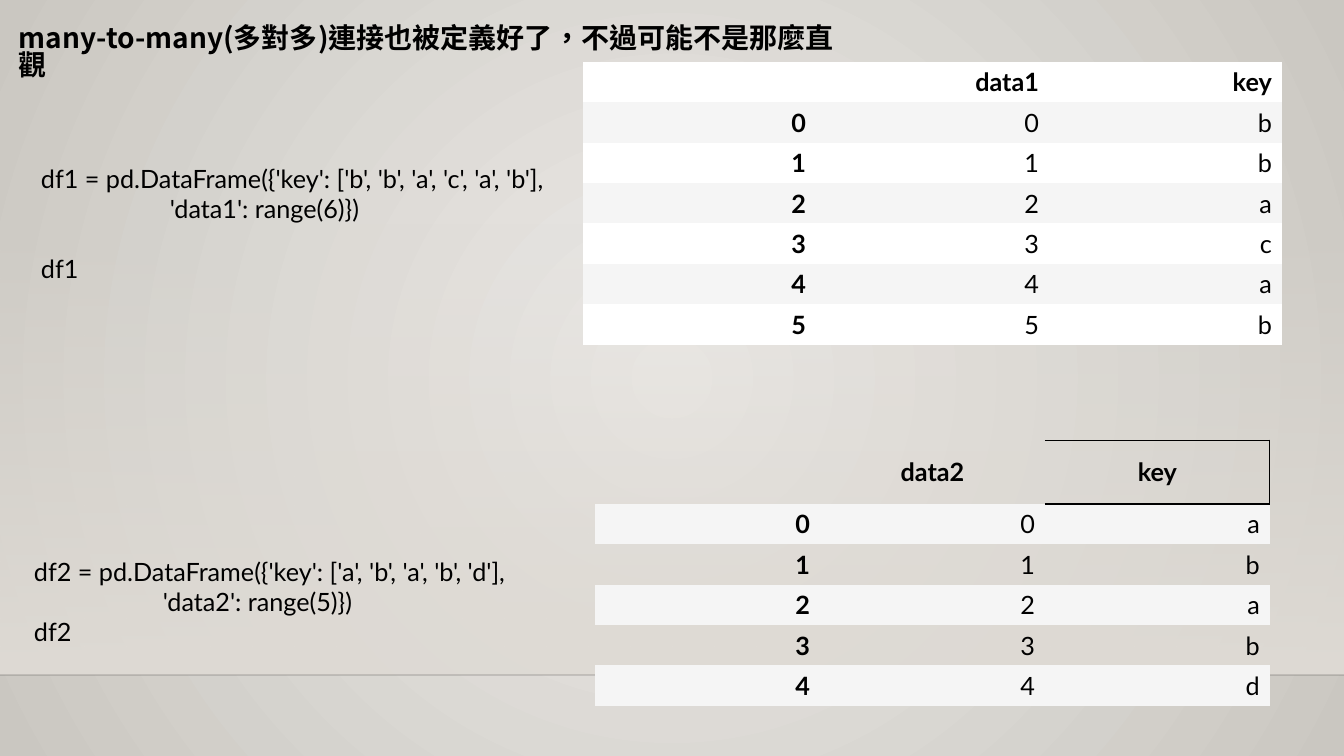
from lxml import etree
from pptx import Presentation, util as u
from pptx.dml.color import RGBColor
from pptx.enum import lang, shapes, text
from pptx.oxml import ns, parse_xml

EMU_PER_PX = 914400 / 100.8
SLIDE_W, SLIDE_H = 1344, 756
HORIZON = 675

BLACK = RGBColor(0, 0, 0)
WHITE = RGBColor(0xFF, 0xFF, 0xFF)
BAND = RGBColor(0xF5, 0xF5, 0xF5)
GLOW = RGBColor(0xEC, 0xEA, 0xE7)
EDGE = RGBColor(0xCA, 0xC7, 0xC1)
WALL = RGBColor(0xDF, 0xDB, 0xD5)
HORIZON_INK = RGBColor(0, 0, 1)

BODY_FONT, TITLE_FONT = "Lato", "Noto Sans CJK SC"
PLAIN_TABLE = "{2D5ABB26-0587-4C30-8999-92F81FD0307C}"
RIGHT, CENTER = text.PP_ALIGN.RIGHT, text.PP_ALIGN.CENTER

TITLE = "many-to-many(多對多)連接也被定義好了，不過可能不是那麼直觀"
DF1_KEYS = "bbacab"
DF2_KEYS = "ababd"


def px(count):
    return u.Emu(round(count * EMU_PER_PX))


def box(*sides):
    return [px(side) for side in sides]


def set_gradient(owner, fill, stops, direction):
    """Fill with (position, colour, alpha) stops, in percent, along a direction element."""
    fill.gradient()
    gradient = owner.element.find(".//" + ns.qn("a:gradFill"))
    marks = "".join(
        f'<a:gs pos="{pos * 1000}"><a:srgbClr val="{color}">'
        f'<a:alpha val="{alpha * 1000}"/></a:srgbClr></a:gs>'
        for pos, color, alpha in stops)
    parts = parse_xml(f'<a:gradFill {ns.nsdecls("a")}><a:gsLst>{marks}</a:gsLst>'
                      f'{direction}</a:gradFill>')
    gradient[:] = list(parts)


def add_backdrop(slide):
    set_gradient(slide, slide.background.fill, [(0, GLOW, 100), (100, EDGE, 100)],
                 '<a:path path="circle"><a:fillToRect l="50000" t="50000" '
                 'r="50000" b="50000"/></a:path>')
    wall = slide.shapes.add_shape(shapes.MSO_SHAPE.RECTANGLE,
                                  *box(0, 223, SLIDE_W, HORIZON - 223))
    wall.shadow.inherit = False
    wall.line.fill.background()
    set_gradient(wall, wall.fill, [(0, WALL, 0), (100, WALL, 100)],
                 '<a:lin ang="5400000" scaled="0"/>')

    horizon = slide.shapes.add_connector(shapes.MSO_CONNECTOR.STRAIGHT,
                                         *box(0, HORIZON, SLIDE_W, HORIZON))
    horizon.line.width = u.Pt(1)
    horizon.line.color.rgb = HORIZON_INK
    ink = horizon.element.find(".//" + ns.qn("a:srgbClr"))
    etree.SubElement(ink, ns.qn("a:alpha")).set("val", "20000")
    etree.SubElement(horizon.element.spPr, ns.qn("a:effectLst"))


def add_run(paragraph, words, size=18, font=BODY_FONT, bold=False):
    run = paragraph.add_run()
    run.text = words
    run.font.size = u.Pt(size)
    run.font.name = font
    run.font.bold = bold
    run.font.color.rgb = BLACK
    return run


def add_text_frame(slide, *place):
    frame = slide.shapes.add_textbox(*box(*place)).text_frame
    frame.word_wrap = True
    return frame


def add_title(slide):
    frame = add_text_frame(slide, 9, 18, 839, 44)
    frame.margin_top = px(8)
    paragraph = frame.paragraphs[0]
    paragraph.line_spacing = 0.82
    run = add_run(paragraph, TITLE, 20, TITLE_FONT, True)
    run.font.language_id = lang.MSO_LANGUAGE_ID.TRADITIONAL_CHINESE
    east_asian = etree.Element(ns.qn("a:ea"), typeface=TITLE_FONT)
    run.font._element.find(ns.qn("a:latin")).addnext(east_asian)


def add_code(slide, place, opening, continuation, result, gap=0):
    frame = add_text_frame(slide, *place)
    first = frame.paragraphs[0]
    second, last = frame.add_paragraph(), frame.add_paragraph()
    add_run(first, opening)
    add_run(second, continuation)
    second._p.get_or_add_pPr().set("marL", str(px(129)))
    add_run(last, result)
    last.space_before = u.Pt(gap)


def set_fill(cell, color):
    if color is None:
        cell.fill.background()
    else:
        cell.fill.solid()
        cell.fill.fore_color.rgb = color


def add_frame_table(slide, left, top, column, header, data_name, keys,
                    header_align, plain):
    """Show a data frame: index, numbered data column and keys, with banded rows."""
    row = 40
    table = slide.shapes.add_table(
        len(keys) + 1, 3,
        *box(left, top, 3 * column, header + row * len(keys))).table
    table.first_row = table.horz_banding = False
    table._tbl.tblPr.find(ns.qn("a:tableStyleId")).text = PLAIN_TABLE
    for part in table.columns:
        part.width = px(column)

    rows = [("", data_name, "key")]
    rows += [(str(i), str(i), key) for i, key in enumerate(keys)]
    for r, words in enumerate(rows):
        table.rows[r].height = px(row if r else header)
        for c, word in enumerate(words):
            cell = table.cell(r, c)
            cell.vertical_anchor = text.MSO_ANCHOR.MIDDLE
            set_fill(cell, BAND if r % 2 else plain)
            if word:
                paragraph = cell.text_frame.paragraphs[0]
                paragraph.alignment = RIGHT if r else header_align
                add_run(paragraph, word, bold=r == 0 or c == 0)
    return table


def add_borders(cell, widths):
    """Rule the given sides, listed in the order lnL, lnR, lnT, lnB, with widths in points."""
    properties = cell._tc.get_or_add_tcPr()
    for position, (side, width) in enumerate(widths.items()):
        properties.insert(position, parse_xml(
            f'<a:{side} {ns.nsdecls("a")} w="{u.Pt(width)}"><a:solidFill>'
            f'<a:srgbClr val="{BLACK}"/></a:solidFill></a:{side}>'))


def main():
    deck = Presentation()
    deck.slide_width, deck.slide_height = px(SLIDE_W), px(SLIDE_H)
    slide = deck.slides.add_slide(deck.slide_layouts[6])

    add_backdrop(slide)
    add_title(slide)
    add_code(slide, (31, 158, 672, 132),
             "df1 = pd.DataFrame({'key': ['b', 'b', 'a', 'c', 'a', 'b'],",
             "'data1': range(6)})", "df1", gap=21.6)
    add_frame_table(slide, 583, 62, 233, 40, "data1", DF1_KEYS, RIGHT, WHITE)
    add_code(slide, (24, 551, 672, 102),
             "df2 = pd.DataFrame({'key': ['a', 'b', 'a', 'b', 'd'],",
             "'data2': range(5)})", "df2")
    df2 = add_frame_table(slide, 595, 440, 225, 64, "data2", DF2_KEYS, CENTER, None)
    add_borders(df2.cell(0, 2), {"lnR": 0.75, "lnT": 0.75, "lnB": 1.5})

    deck.save("out.pptx")


if __name__ == "__main__":
    main()
